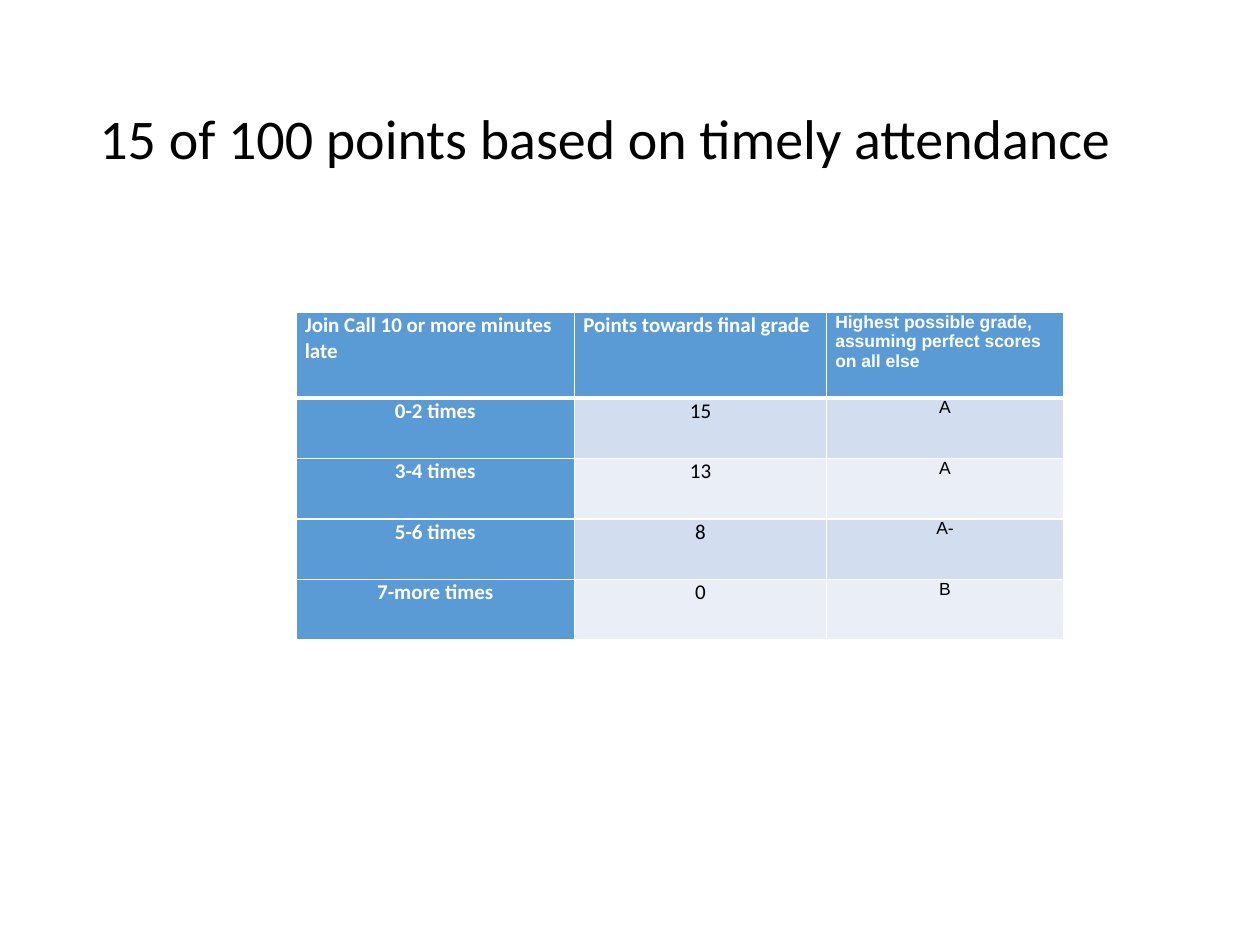
from lxml.etree import SubElement
from pptx import Presentation
from pptx.dml.color import RGBColor
from pptx.enum.text import MSO_ANCHOR as ANCHOR, PP_ALIGN as ALIGN
from pptx.oxml.ns import qn
from pptx.util import Inches, Pt

HEADERS = [
    "Join Call 10 or more minutes late",
    "Points towards final grade",
    "Highest possible grade, assuming perfect scores on all else",
]
GRADES = [
    ("0-2 times", "15", "A"),
    ("3-4 times", "13", "A"),
    ("5-6 times", "8", "A-"),
    ("7-more times", "0", "B"),
]


def color(value):
    return RGBColor.from_string(value)


class Deck:
    accent = "5B9BD5"
    bands = ("D2DEEF", "EAEFF7")
    white = "FFFFFF"
    black = "000000"
    fonts = (("Calibri", 12), ("Calibri", 12), ("Arial", 10))

    def __init__(self, width, height):
        self.prs = Presentation()
        self.prs.slide_width = Inches(width)
        self.prs.slide_height = Inches(height)
        self.s = self.prs.slides.add_slide(self.prs.slide_layouts[6])

    def style(self, p, name, size, value, bold=False):
        p.font.name = name
        p.font.size = Pt(size)
        p.font.bold = bold
        p.font.color.rgb = color(value)

    def title(self, text, *box):
        tf = self.s.shapes.add_textbox(*map(Inches, box)).text_frame
        tf.word_wrap = True
        tf.vertical_anchor = ANCHOR.MIDDLE
        p = tf.paragraphs[0]
        p.text = text
        p.line_spacing = 0.9
        self.style(p, "Calibri", 32, self.black)

    def border(self, cell, side, width):
        ln = SubElement(cell._tc.get_or_add_tcPr(), qn(f"a:ln{side}"), w=str(Pt(width)))
        fill = SubElement(ln, qn("a:solidFill"))
        SubElement(fill, qn("a:srgbClr"), val=self.white)

    def cell(self, cell, text, row, col):
        cell.margin_left = cell.margin_right = Inches(0.07)
        cell.margin_top = cell.margin_bottom = 0
        heading = row == 0 or col == 0
        widths = {"L": 1, "R": 1, "T": 3 if row == 1 else 1, "B": 3 if row == 0 else 1}
        for side, width in widths.items():
            self.border(cell, side, width)
        cell.fill.solid()
        cell.fill.fore_color.rgb = color(self.accent if heading else self.bands[(row - 1) % 2])
        p = cell.text_frame.paragraphs[0]
        p.text = text
        p.alignment = ALIGN.CENTER if row else ALIGN.LEFT
        self.style(p, *self.fonts[col], self.white if heading else self.black, heading)

    def table(self, rows, left, top, widths, heights):
        box = map(Inches, (left, top, sum(widths), sum(heights)))
        table = self.s.shapes.add_table(len(rows), len(widths), *box).table
        for column, width in zip(table.columns, widths):
            column.width = Inches(width)
        for row, height in zip(table.rows, heights):
            row.height = Inches(height)
        for i, texts in enumerate(rows):
            for j, text in enumerate(texts):
                self.cell(table.cell(i, j), text, i, j)


def main():
    deck = Deck(10, 7.5)
    deck.title("15 of 100 points based on timely attendance", 0.69, 0.4, 8.62, 1.45)
    heights = [0.68] + [0.48] * len(GRADES)
    deck.table([HEADERS] + GRADES, 2.35, 2.48, [2.21, 2, 1.88], heights)
    deck.prs.save("out.pptx")


if __name__ == "__main__":
    main()
